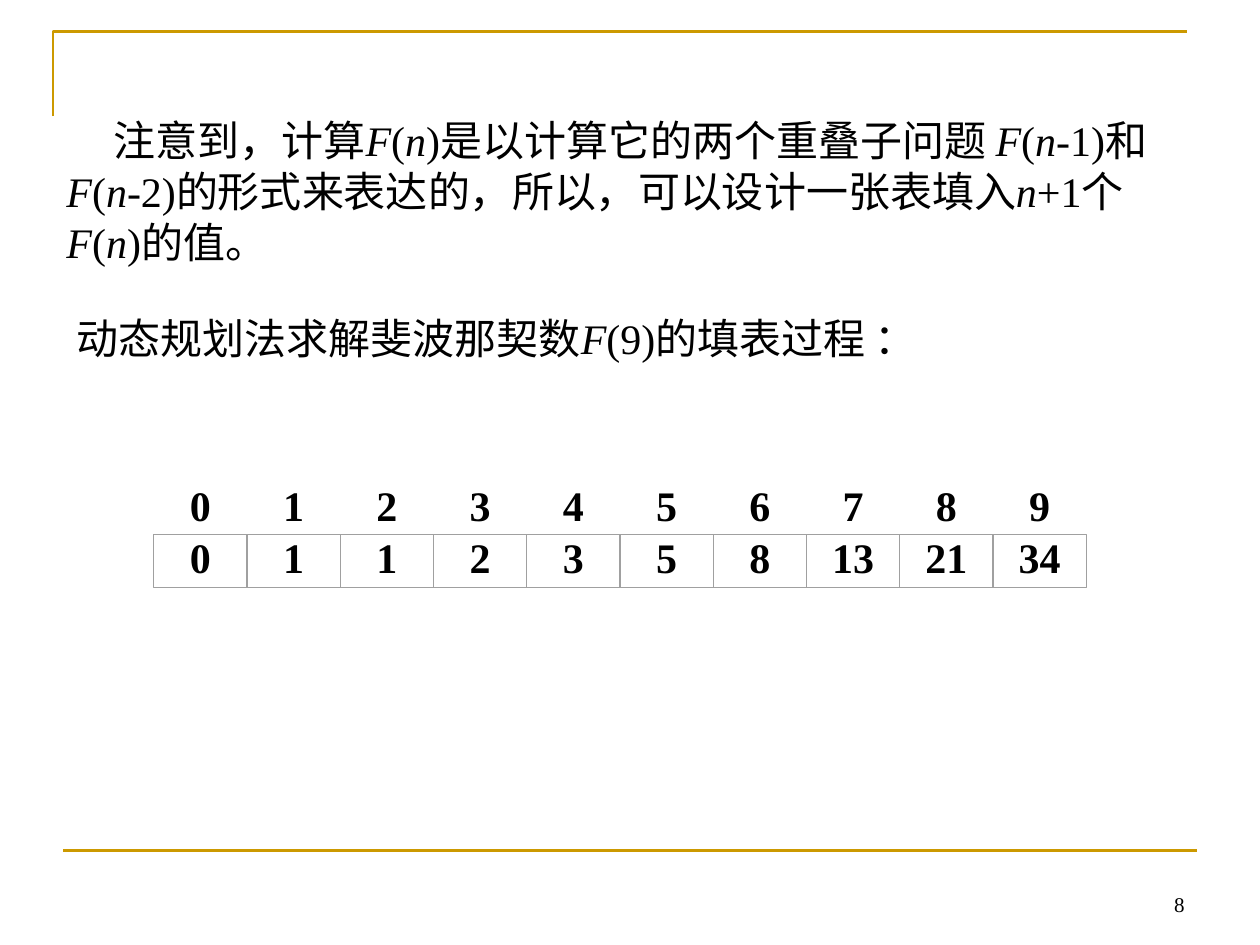
from pptx import Presentation
from pptx.dml.color import RGBColor
from pptx.enum.lang import MSO_LANGUAGE_ID as Lang
from pptx.enum.shapes import MSO_CONNECTOR as Connector, MSO_SHAPE as Shape
from pptx.enum.text import MSO_ANCHOR as Anchor, PP_ALIGN as Align
from pptx.oxml.ns import qn
from pptx.util import Cm, Pt
from lxml.etree import SubElement

COLORS = {"text": "000000", "accent": "CC9900", "grid": "A0A0A0"}
LATIN, CHINESE = "Times New Roman", "Noto Sans CJK SC"


def color(name):
    return RGBColor.from_string(COLORS[name])


class SlideBuilder:
    """Holds the text style and the current slide."""

    def __init__(self, slide, size=24):
        self.slide = slide
        self.size = size

    def stroke(self, line, name, width):
        line.color.rgb = color(name)
        line.width = Pt(width)

    def corner(self, points):
        start, *rest = [(Cm(x), Cm(y)) for x, y in points]
        builder = self.slide.shapes.build_freeform(*start)
        builder.add_line_segments(rest, close=False)
        bracket = builder.convert_to_shape()
        bracket.shadow.inherit = False
        bracket.fill.background()
        self.stroke(bracket.line, "accent", 1.5)

    def rule(self, x1, x2, y):
        rule = self.slide.shapes.add_connector(
            Connector.STRAIGHT, Cm(x1), Cm(y), Cm(x2), Cm(y))
        SubElement(rule._element.spPr, qn("a:effectLst"))
        self.stroke(rule.line, "accent", 1.5)

    def run(self, paragraph, text, font=LATIN, size=None, bold=False, italic=False):
        run = paragraph.add_run()
        run.text = text
        style = run.font
        style.name, style.size = font, Pt(size or self.size)
        style.bold, style.italic = bold, italic
        style.color.rgb = color("text")
        if not text.isascii():
            style.language_id = Lang.SIMPLIFIED_CHINESE
            east_asian = SubElement(run._r.get_or_add_rPr(), qn("a:ea"))
            east_asian.set("typeface", CHINESE)

    def frame(self, shape, anchor, top=0.13, bottom=0.13, align=Align.LEFT):
        frame = shape.text_frame
        frame.word_wrap = True
        frame.vertical_anchor = anchor
        frame.margin_left = frame.margin_right = Cm(0.25)
        frame.margin_top, frame.margin_bottom = Cm(top), Cm(bottom)
        paragraph = frame.paragraphs[0]
        paragraph.alignment = align
        return paragraph

    def box(self, x, y, width, height):
        return self.slide.shapes.add_textbox(Cm(x), Cm(y), Cm(width), Cm(height))

    def prose(self, x, y, width, height, parts, indent=0):
        """Parts are (style, text): c Chinese, i italic Latin, r roman Latin."""
        paragraph = self.frame(self.box(x, y, width, height), Anchor.TOP, top=0.18)
        paragraph.line_spacing = Pt(29)
        if indent:
            paragraph._p.get_or_add_pPr().set("indent", str(Cm(indent)))
        for style, text in parts:
            self.run(paragraph, text, CHINESE if style == "c" else LATIN,
                     italic=style == "i")

    def cell(self, x, y, width, height, text, boxed):
        if boxed:
            cell = self.slide.shapes.add_shape(
                Shape.RECTANGLE, Cm(x), Cm(y), Cm(width), Cm(height))
            cell.shadow.inherit = False
            cell.fill.background()
            self.stroke(cell.line, "grid", 0)
        else:
            cell = self.box(x, y, width, height)
        paragraph = self.frame(cell, Anchor.MIDDLE, 0, 0.16, Align.CENTER)
        self.run(paragraph, text, bold=True)

    def page_number(self, text):
        paragraph = self.frame(self.box(18.21, 17.35, 5.92, 1.27), Anchor.BOTTOM,
                               align=Align.RIGHT)
        self.run(paragraph, text, size=12)


def main():
    deck = Presentation()
    deck.slide_width, deck.slide_height = Cm(25.4), Cm(19.05)
    page = SlideBuilder(deck.slides.add_slide(deck.slide_layouts[6]))

    # Frame lines
    page.corner([(1.07, 2.34), (1.07, 0.64), (23.93, 0.64)])
    page.rule(1.27, 24.13, 17.15)

    # Fibonacci table: indices above their boxed values
    fibonacci = [0, 1]
    while len(fibonacci) < 10:
        fibonacci.append(fibonacci[-1] + fibonacci[-2])
    left, top, width, height = 3.1, 9.72, 1.88, 1.06
    for row, numbers in enumerate([range(10), fibonacci]):
        for column, number in enumerate(numbers):
            page.cell(left + column * width, top + row * height, width, height,
                      str(number), boxed=row == 1)

    # Caption of the table
    page.prose(1.3, 6.12, 18.01, 1.27, [
        ("c", "动态规划法求解斐波那契数"), ("i", "F"), ("r", "(9)"),
        ("c", "的填表过程"), ("r", " ："),
    ])

    # Explanation
    f_of_n = [("i", "F"), ("r", "("), ("i", "n")]
    page.prose(1.09, 2.13, 22.86, 3.3, [
        ("c", "注意到，计算"), *f_of_n, ("r", ")"),
        ("c", "是以计算它的两个重叠子问题 "), *f_of_n, ("r", "-1)"),
        ("c", "和"), *f_of_n, ("r", "-2)"),
        ("c", "的形式来表达的，所以，可以设计一张表填入"), ("i", "n"), ("r", "+1"),
        ("c", "个"), *f_of_n, ("r", ")"), ("c", "的值。"),
    ], indent=0.95)

    page.page_number("8")
    deck.save("out.pptx")


if __name__ == "__main__":
    main()
